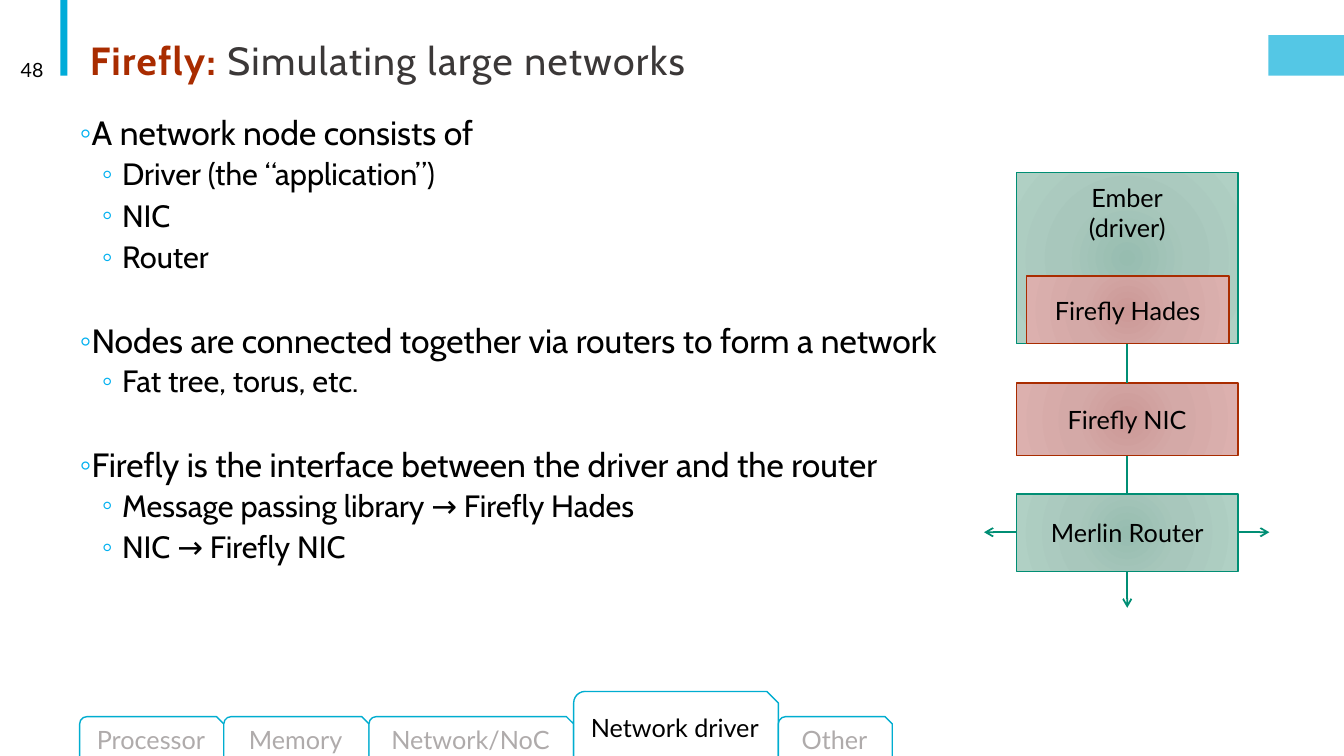
import pptx
import pptx.dml.color
import pptx.enum.dml
import pptx.enum.shapes
import pptx.enum.text
import pptx.oxml
import pptx.oxml.ns
import pptx.util
from lxml import etree

RGBColor = pptx.dml.color.RGBColor
Inches = pptx.util.Inches
Pt = pptx.util.Pt
Shapes = pptx.enum.shapes.MSO_SHAPE
Align = pptx.enum.text.PP_ALIGN
Anchor = pptx.enum.text.MSO_ANCHOR
qn = pptx.oxml.ns.qn

BLACK = RGBColor(0x00, 0x00, 0x00)
WHITE = RGBColor(0xFF, 0xFF, 0xFF)
CYAN = RGBColor(0x00, 0xAC, 0xD9)
TAB_LINE = RGBColor(0x00, 0xAD, 0xD0)
BULLET = RGBColor(0x00, 0xB0, 0xF0)
GREEN = RGBColor(0x00, 0x8E, 0x74)
RUST = RGBColor(0xA9, 0x2C, 0x00)
CHARCOAL = RGBColor(0x3B, 0x38, 0x38)
GREY = RGBColor(0xAF, 0xAB, 0xAB)
GREEN_GLOW = [(0, RGBColor(0x97, 0xBD, 0xB0)), (45, RGBColor(0xA8, 0xC7, 0xBC)),
              (100, RGBColor(0xB0, 0xD0, 0xC4))]
RED_GLOW = [(0, RGBColor(0xCC, 0x98, 0x96)), (45, RGBColor(0xD4, 0xA9, 0xA7)),
            (100, RGBColor(0xDC, 0xB0, 0xAE))]

# Level and text of each line of the list
POINTS = [
    (0, "A network node consists of"),
    (1, "Driver (the “application”)"),
    (1, "NIC"),
    (1, "Router"),
    (0, "Nodes are connected together via routers to form a network"),
    (1, "Fat tree, torus, etc."),
    (0, "Firefly is the interface between the driver and the router"),
    (1, "Message passing library → Firefly Hades"),
    (1, "NIC → Firefly NIC"),
]
# Left, top, width, height, lines of text, gradient, outline, anchor
NODE_PARTS = [
    (10.08, 1.71, 2.2, 1.7, ["Ember", "(driver)"], GREEN_GLOW, GREEN, Anchor.TOP),
    (10.18, 2.74, 2.01, 0.67, ["Firefly Hades"], RED_GLOW, RUST, Anchor.MIDDLE),
    (10.08, 3.8, 2.2, 0.72, ["Firefly NIC"], RED_GLOW, RUST, Anchor.MIDDLE),
    (10.08, 4.9, 2.2, 0.77, ["Merlin Router"], GREEN_GLOW, GREEN, Anchor.MIDDLE),
]
# Start, end, whether it has an arrowhead
LINKS = [
    ((11.18, 3.41), (11.18, 3.8), False),
    ((11.18, 4.9), (11.18, 4.52), False),
    ((12.28, 5.28), (12.59, 5.28), True),
    ((11.18, 5.67), (11.18, 6.03), True),
    ((10.08, 5.28), (9.76, 5.28), True),
]
TABS = [("Processor", 1.43), ("Memory", 1.44), ("Network/NoC", 2.03),
        ("Network driver", 2.03), ("Other", 1.13)]
ACTIVE_TAB = "Network driver"


class SlideBuilder:
    heading_font = "Cabin"
    label_font = "Lato"

    def __init__(self, page):
        self.page = page

    def place(self, shape, left, top, width, height):
        shape.left, shape.top = Inches(left), Inches(top)
        shape.width, shape.height = Inches(width), Inches(height)

    def add_run(self, para, text, size, font, color, bold=False):
        span = para.add_run()
        span.text = text
        span.font.size = Pt(size)
        span.font.name = font
        span.font.bold = bold
        span.font.color.rgb = color
        return span

    def title(self, spans):
        box = self.page.shapes.title
        self.place(box, 0.79, 0.26, 11, 0.62)
        frame = box.text_frame
        frame.auto_size = pptx.enum.text.MSO_AUTO_SIZE.NONE
        frame.vertical_anchor = Anchor.BOTTOM
        para = frame.paragraphs[0]
        para.alignment = Align.LEFT
        para.line_spacing = 0.85
        for text, color, bold in spans:
            span = self.add_run(para, text, 28, self.heading_font, color, bold)
            span.font._element.set("spc", "100")

    def bullet(self, para, level):
        para.level = level
        properties = para._p.get_or_add_pPr()
        properties.set("marL", str(Inches((0.1, 0.42)[level])))
        properties.set("indent", str(Inches((-0.1, -0.2)[level])))
        color = etree.SubElement(properties, qn("a:buClr"))
        etree.SubElement(color, qn("a:srgbClr"), val=str(BULLET))
        etree.SubElement(properties, qn("a:buChar"), char="◦")

    def body(self, points):
        box = self.page.placeholders[1]
        self.place(box, 0.79, 1.11, 8.97, 5.1)
        frame = box.text_frame
        frame.auto_size = pptx.enum.text.MSO_AUTO_SIZE.NONE
        frame.margin_left = frame.margin_right = 0
        for index, (level, text) in enumerate(points):
            para = frame.add_paragraph() if index else frame.paragraphs[0]
            self.bullet(para, level)
            para.line_spacing = 0.9
            para.space_before = Pt((31, 2)[level] if index else 0)
            para.space_after = Pt((2, 4)[level])
            self.add_run(para, text, (24, 22)[level], self.heading_font, BLACK)

    def label(self, frame, lines, color=BLACK, align=Align.CENTER, size=18):
        frame.word_wrap = True
        for index, text in enumerate(lines):
            para = frame.add_paragraph() if index else frame.paragraphs[0]
            para.alignment = align
            self.add_run(para, text, size, self.label_font, color)

    def shape(self, kind, left, top, width, height, fill, line=None):
        shape = self.page.shapes.add_shape(
            kind, Inches(left), Inches(top), Inches(width), Inches(height))
        shape.shadow.inherit = False
        shape.fill.solid()
        shape.fill.fore_color.rgb = fill
        if line is None:
            shape.line.fill.background()
        else:
            shape.line.color.rgb = line
            shape.line.width = Pt(1)
        return shape

    def fade(self, shape, percent):
        """Set the opacity of a solid fill."""
        color = shape._element.spPr.find(qn("a:solidFill")).find(qn("a:srgbClr"))
        etree.SubElement(color, qn("a:alpha"), val=str(percent * 1000))

    def glow(self, shape, stops):
        """Fill a shape with a radial gradient."""
        solid = shape._element.spPr.find(qn("a:solidFill"))
        gradient = pptx.oxml.parse_xml(
            f'<a:gradFill {pptx.oxml.ns.nsdecls("a")}><a:gsLst/>'
            '<a:path path="circle"><a:fillToRect l="100000" t="100000"'
            ' r="100000" b="100000"/></a:path></a:gradFill>')
        for position, color in stops:
            stop = etree.SubElement(gradient[0], qn("a:gs"), pos=str(position * 1000))
            etree.SubElement(stop, qn("a:srgbClr"), val=str(color))
        solid.getparent().replace(solid, gradient)

    def node_part(self, left, top, width, height, lines, stops, line, anchor):
        shape = self.shape(Shapes.RECTANGLE, left, top, width, height, WHITE, line)
        self.glow(shape, stops)
        shape.text_frame.vertical_anchor = anchor
        if anchor == Anchor.TOP:
            shape.text_frame.margin_top = Inches(0.1)
        self.label(shape.text_frame, lines)

    def link(self, start, end, arrow):
        link = self.page.shapes.add_connector(
            pptx.enum.shapes.MSO_CONNECTOR.STRAIGHT,
            *(Inches(length) for length in start + end))
        link.line.color.rgb = GREEN
        link.line.width = Pt(1.25)
        if arrow:
            etree.SubElement(link.line._get_or_add_ln(), qn("a:tailEnd"), type="arrow")
        etree.SubElement(link._element.spPr, qn("a:effectLst"))

    def tab(self, left, width, text, active):
        top = 6.86 if active else 7.11
        shape = self.shape(Shapes.SNIP_ROUND_RECTANGLE, left, top, width,
                           7.54 - top, WHITE, TAB_LINE)
        shape.text_frame.margin_left = shape.text_frame.margin_right = Inches(0.05)
        shape.text_frame.vertical_anchor = Anchor.MIDDLE
        self.label(shape.text_frame, [text], BLACK if active else GREY)

    def page_number(self, text):
        box = self.page.shapes.add_textbox(
            Inches(0.07), Inches(0.49), Inches(0.46), Inches(0.4))
        box.text_frame.vertical_anchor = Anchor.MIDDLE
        self.label(box.text_frame, [text], align=Align.RIGHT, size=14)


def main():
    deck = pptx.Presentation()
    deck.slide_width, deck.slide_height = Inches(13.33), Inches(7.5)
    builder = SlideBuilder(deck.slides.add_slide(deck.slide_layouts[1]))
    builder.shape(Shapes.RECTANGLE, 0.6, 0, 0.07, 0.75, CYAN)
    builder.fade(builder.shape(Shapes.RECTANGLE, 12.58, 0.35, 0.75, 0.4, CYAN), 67)
    builder.title([("Firefly: ", RUST, True),
                   ("Simulating large networks", CHARCOAL, False)])
    builder.page_number("48")
    builder.body(POINTS)
    for part in NODE_PARTS:
        builder.node_part(*part)
    for link in LINKS:
        builder.link(*link)
    left = 0.79
    for text, width in TABS:
        builder.tab(left, width, text, text == ACTIVE_TAB)
        left += width
    deck.save("out.pptx")


if __name__ == "__main__":
    main()
